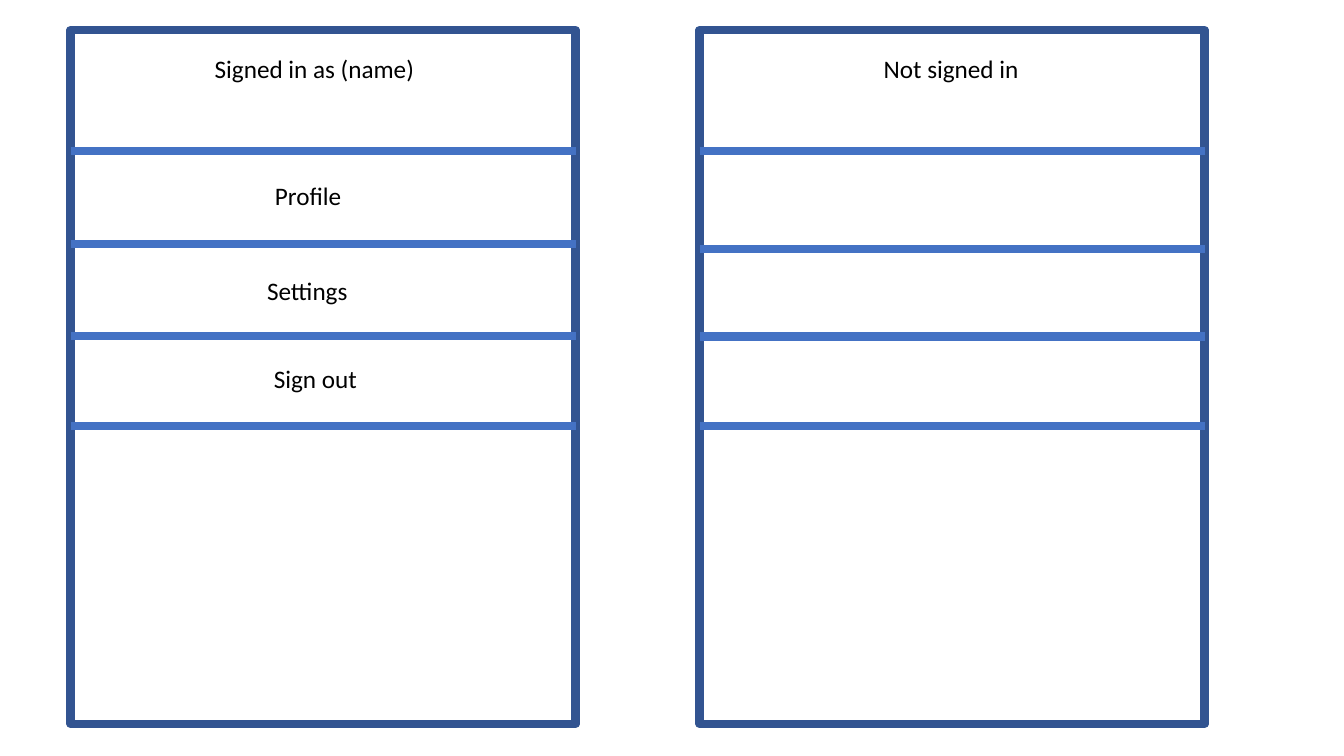
"""Build a slide with two account menu wireframes, signed in and not signed in."""
from lxml.etree import SubElement
from pptx import Presentation
from pptx.dml.color import RGBColor
from pptx.enum.shapes import MSO_CONNECTOR, MSO_SHAPE
from pptx.enum.text import MSO_AUTO_SIZE
from pptx.oxml.ns import qn
from pptx.util import Cm, Pt

COLORS = {"frame": "325491", "divider": "4472C4", "text": "000000"}
PANEL_TOP, PANEL_WIDTH, PANEL_HEIGHT = 0.76, 12.73, 17.48
LABEL_HEIGHT = 1.02

MENUS = [
    {
        "left": 1.78,
        "dividers": [3.81, 6.15, 8.46, 10.74],
        "labels": [
            ("Signed in as (name)", 5.16, 1.22, 5.61),
            ("Profile", 6.68, 4.42, 2.21),
            ("Settings", 6.48, 6.81, 2.59),
            ("Sign out", 6.65, 9.02, 2.64),
        ],
    },
    {
        "left": 17.63,
        "dividers": [3.81, 6.27, 8.48, 10.74],
        "labels": [("Not signed in", 22.02, 1.22, 3.96)],
    },
]


def style_line(line, color):
    """Give an outline its colour and the common width."""
    line.color.rgb = RGBColor.from_string(COLORS[color])
    line.width = Pt(6)


def add_frame(page, left):
    """Draw the empty outline of a menu."""
    frame = page.shapes.add_shape(
        MSO_SHAPE.RECTANGLE, Cm(left), Cm(PANEL_TOP), Cm(PANEL_WIDTH), Cm(PANEL_HEIGHT)
    )
    frame.shadow.inherit = False
    frame.fill.background()
    style_line(frame.line, "frame")


def add_divider(page, left, top):
    """Draw a horizontal line across a menu."""
    divider = page.shapes.add_connector(
        MSO_CONNECTOR.STRAIGHT, Cm(left), Cm(top), Cm(left + PANEL_WIDTH), Cm(top)
    )
    style_line(divider.line, "divider")
    SubElement(divider.line._get_or_add_ln().getparent(), qn("a:effectLst"))


def add_label(page, text, left, top, width):
    """Write one menu entry."""
    box = page.shapes.add_textbox(Cm(left), Cm(top), Cm(width), Cm(LABEL_HEIGHT))
    box.text_frame.word_wrap = False
    box.text_frame.auto_size = MSO_AUTO_SIZE.SHAPE_TO_FIT_TEXT
    paragraph = box.text_frame.paragraphs[0]
    paragraph.text = text
    paragraph.font.name = "Calibri"
    paragraph.font.size = Pt(18)
    paragraph.font.color.rgb = RGBColor.from_string(COLORS["text"])


def add_menu(page, menu):
    """Draw a menu with its dividers and entries."""
    add_frame(page, menu["left"])
    for top in menu["dividers"]:
        add_divider(page, menu["left"], top)
    for label in menu["labels"]:
        add_label(page, *label)


def main():
    """Create the deck and save it."""
    deck = Presentation()
    deck.slide_width, deck.slide_height = Cm(33.87), Cm(19.05)
    page = deck.slides.add_slide(deck.slide_layouts[6])
    for menu in MENUS:
        add_menu(page, menu)
    deck.save("out.pptx")


main()
